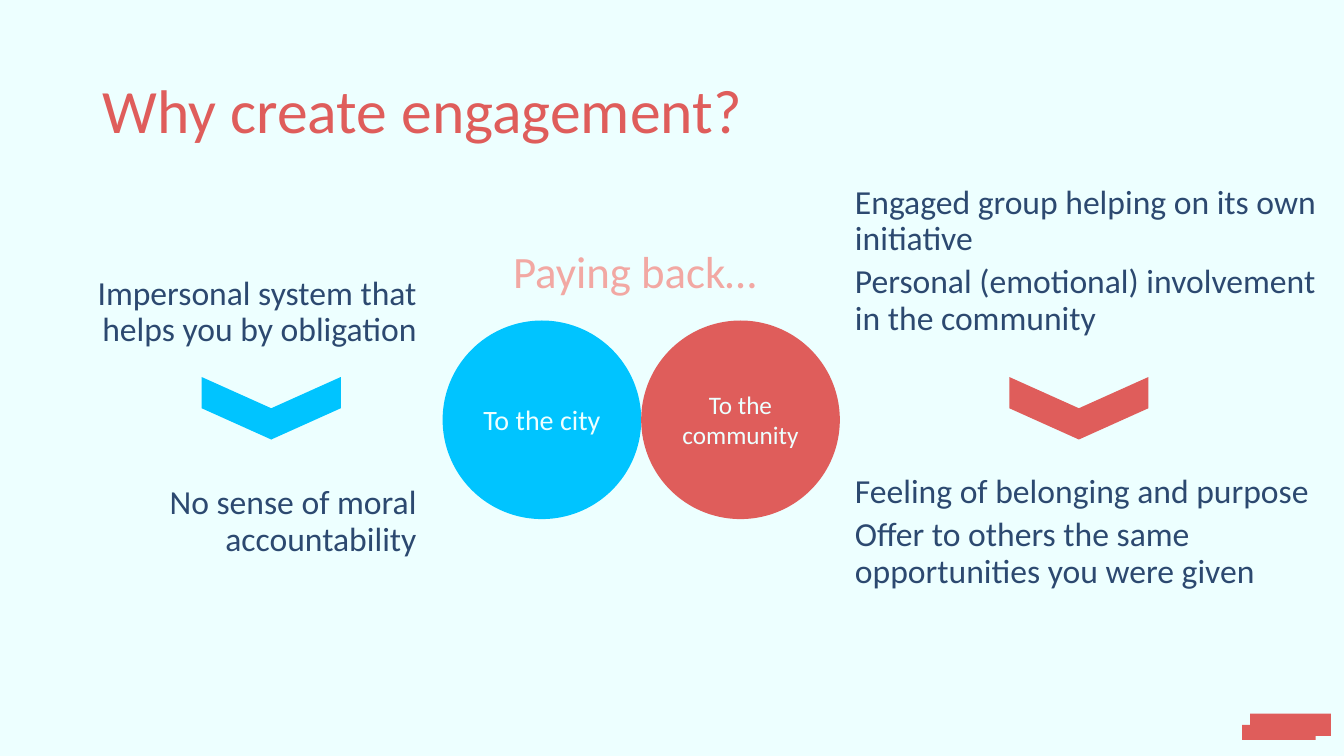
from pptx import Presentation
from pptx.dml.color import RGBColor
from pptx.enum.shapes import MSO_SHAPE as SHAPE
from pptx.enum.text import MSO_ANCHOR as ANCHOR, PP_ALIGN as ALIGN
from pptx.util import Inches, Pt

PALE = RGBColor(0xED, 0xFF, 0xFF)
CORAL = RGBColor(0xDF, 0x5D, 0x5B)
PINK = RGBColor(0xF2, 0xA8, 0xA3)
SKY = RGBColor(0x00, 0xC4, 0xFF)
NAVY = RGBColor(0x2C, 0x49, 0x70)
FONT = "Calibri"
TITLE_ONLY = 5
CIRCLE_SIZE = 1.97


def style(paragraph, size, color, align=ALIGN.LEFT):
    paragraph.alignment = align
    paragraph.font.name = FONT
    paragraph.font.size = Pt(size)
    paragraph.font.color.rgb = color


def add_block(slide, preset, left, top, width, height, color):
    block = slide.shapes.add_shape(
        preset, Inches(left), Inches(top), Inches(width), Inches(height))
    block.shadow.inherit = False
    block.fill.solid()
    block.fill.fore_color.rgb = color
    block.line.fill.background()
    return block


def add_title(slide, text):
    title = slide.shapes.title
    title.left, title.top = Inches(0.92), Inches(0.4)
    title.width, title.height = Inches(11.5), Inches(1.45)
    frame = title.text_frame
    frame.text = text
    frame.vertical_anchor = ANCHOR.MIDDLE
    frame.paragraphs[0].line_spacing = 0.9
    style(frame.paragraphs[0], 44, CORAL)


def add_argument(slide, left, top, width, height, causes, effects, align):
    argument = slide.shapes.add_textbox(
        Inches(left), Inches(top), Inches(width), Inches(height))
    frame = argument.text_frame
    frame.word_wrap = True
    frame.margin_left = Inches(0.6)
    for index, text in enumerate(causes + effects):
        paragraph = frame.add_paragraph() if index else frame.paragraphs[0]
        paragraph.text = text
        paragraph.line_spacing = 0.9
        if index:
            paragraph.space_before = Pt(98 if index == len(causes) else 5)
        style(paragraph, 24, NAVY, align)


def add_down_chevron(slide, left, color):
    chevron = add_block(slide, SHAPE.CHEVRON, left, 3.36, 0.62, 1.38, color)
    chevron.rotation = 90


def add_circle(slide, left, text, size, color):
    circle = add_block(
        slide, SHAPE.OVAL, left, 3.18, CIRCLE_SIZE, CIRCLE_SIZE, color)
    frame = circle.text_frame
    frame.text = text
    frame.word_wrap = True
    frame.vertical_anchor = ANCHOR.MIDDLE
    frame.margin_left = frame.margin_right = Inches(0.05)
    style(frame.paragraphs[0], size, PALE, ALIGN.CENTER)


def add_caption(slide, text):
    caption = slide.shapes.add_textbox(
        Inches(4.99), Inches(2.37), Inches(2.75), Inches(0.64))
    frame = caption.text_frame
    frame.text = text
    frame.word_wrap = False
    style(frame.paragraphs[0], 32, PINK)


def main():
    deck = Presentation()
    deck.slide_width, deck.slide_height = Inches(13.33), Inches(7.5)
    slide = deck.slides.add_slide(deck.slide_layouts[TITLE_ONLY])
    slide.background.fill.solid()
    slide.background.fill.fore_color.rgb = PALE

    add_block(slide, SHAPE.RECTANGLE, 12.4, 7.08, 0.8, 0.22, CORAL)
    add_block(slide, SHAPE.RECTANGLE, 12.32, 7.19, 0.73, 0.15, CORAL)
    add_title(slide, "Why create engagement?")

    add_argument(
        slide, 0, 2.69, 4.23, 3.01,
        ["Impersonal system that helps you by obligation"],
        ["No sense of moral accountability"],
        ALIGN.RIGHT)
    add_argument(
        slide, 7.88, 1.79, 5.33, 4.76,
        ["Engaged group helping on its own initiative",
         "Personal (emotional) involvement in the community"],
        ["Feeling of belonging and purpose",
         "Offer to others the same opportunities you were given"],
        ALIGN.LEFT)
    add_down_chevron(slide, 2.38, SKY)
    add_down_chevron(slide, 10.39, CORAL)

    add_circle(slide, 4.39, "To the city", 20, SKY)
    add_circle(slide, 4.39 + CIRCLE_SIZE, "To the community", 18, CORAL)
    add_caption(slide, "Paying back…")
    deck.save("out.pptx")


if __name__ == "__main__":
    main()
